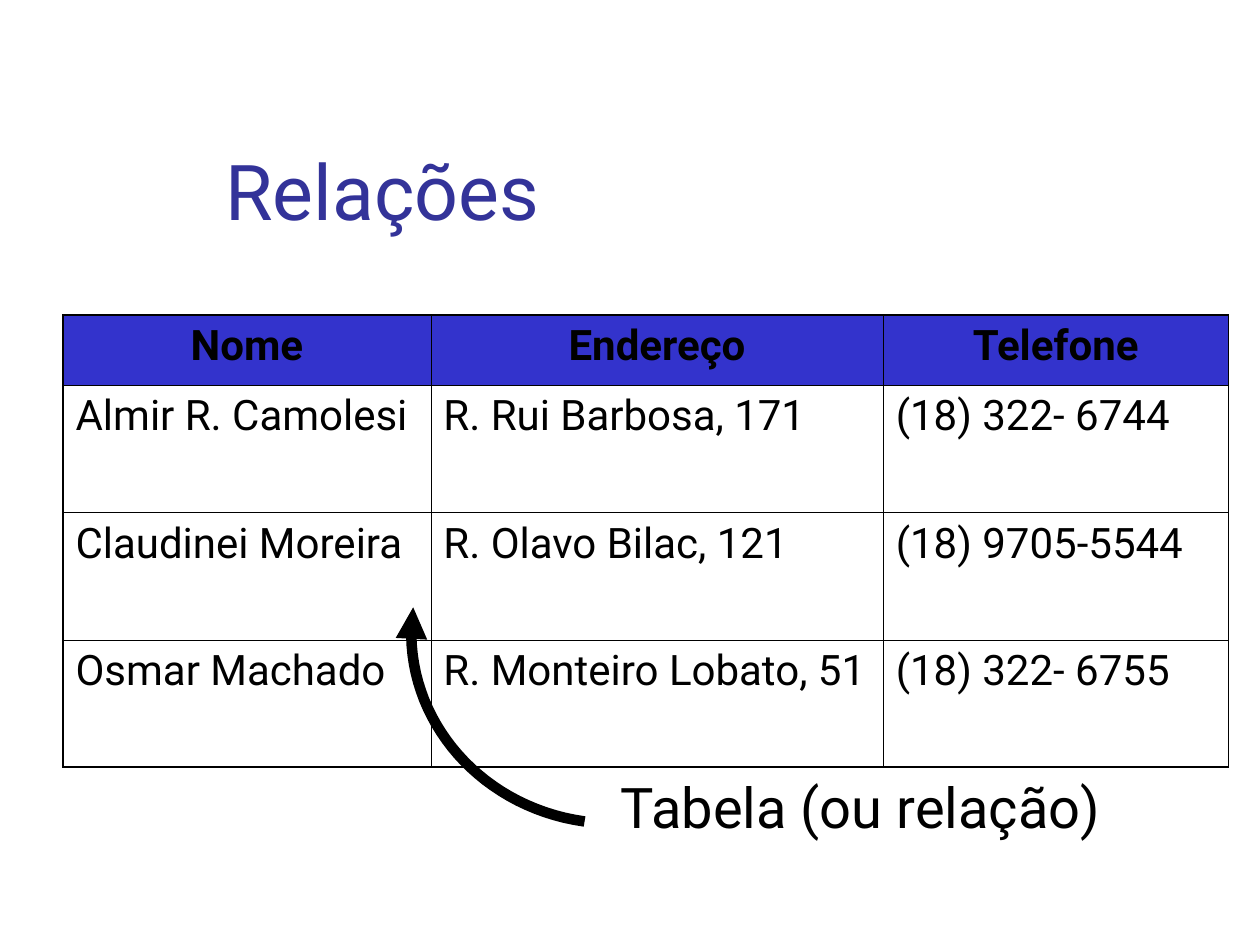
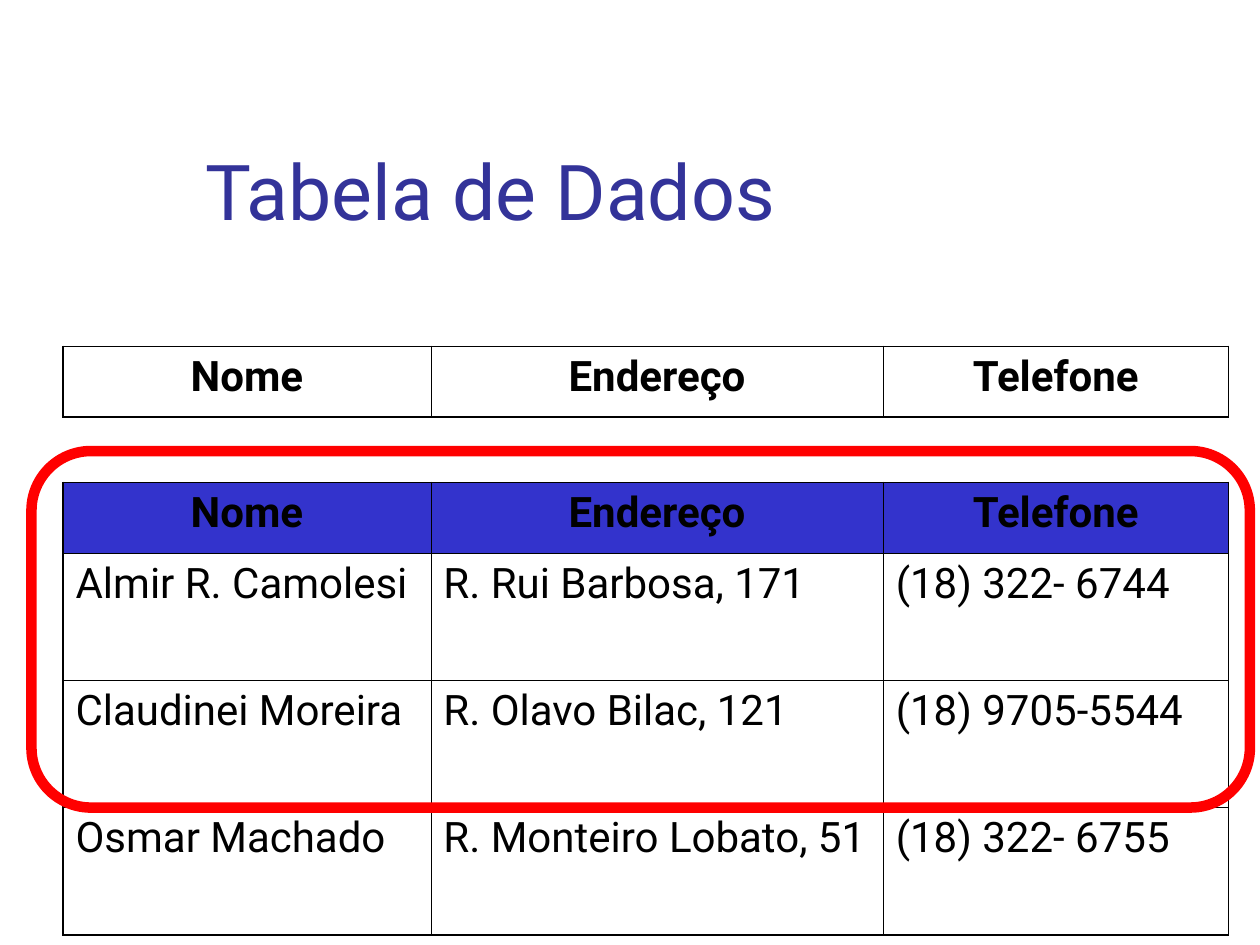
from lxml.etree import SubElement
from pptx import Presentation
from pptx.dml.color import RGBColor
from pptx.enum.shapes import MSO_SHAPE
from pptx.enum.text import MSO_ANCHOR, PP_ALIGN
from pptx.oxml.ns import qn
from pptx.util import Inches, Pt

FONT = "Roboto"
BLACK, WHITE, RED = "000000", "FFFFFF", "FF0000"
TITLE_BLUE, HEADER_BLUE = "333399", "3333CC"
OUTER_LINE, INNER_LINE, HEAVY_LINE = Pt(1.08), Pt(0.45), Pt(6)

TABLE_LEFT = 0.5
COLUMN_WIDTHS = (2.92, 3.59, 2.74)
HEADER_HEIGHT, RECORD_HEIGHT = 0.56, 1.01
HEADINGS = ("Nome", "Endereço", "Telefone")
RECORDS = (
    ("Almir R. Camolesi", "R. Rui Barbosa, 171", "(18) 322- 6744"),
    ("Claudinei Moreira", "R. Olavo Bilac, 121", "(18) 9705-5544"),
    ("Osmar Machado", "R. Monteiro Lobato, 51", "(18) 322- 6755"),
)


def color(value):
    return RGBColor.from_string(value)


def bezier(start, control_1, control_2, end, steps=32):
    """Return evenly sampled points of a cubic curve."""
    points = []
    for step in range(steps + 1):
        t = step / steps
        weights = ((1 - t) ** 3, 3 * t * (1 - t) ** 2, 3 * t ** 2 * (1 - t), t ** 3)
        points.append(tuple(
            sum(weight * value for weight, value in zip(weights, axis))
            for axis in zip(start, control_1, control_2, end)
        ))
    return points


class Slides:
    def __init__(self):
        self.deck = Presentation()
        self.deck.slide_width, self.deck.slide_height = Inches(10), Inches(7.5)
        self.page = None

    def new_page(self):
        self.page = self.deck.slides.add_slide(self.deck.slide_layouts[6])

    def fill_text(self, frame, text, size, ink=BLACK, bold=False, **paragraph_format):
        para = frame.paragraphs[0]
        for name, value in paragraph_format.items():
            setattr(para, name, value)
        span = para.add_run()
        span.text = text
        for name, value in {"name": FONT, "size": Pt(size), "bold": bold}.items():
            setattr(span.font, name, value)
        span.font.color.rgb = color(ink)

    def text(self, text, left, top, width, height, size,
             ink=BLACK, anchor=MSO_ANCHOR.TOP, **paragraph_format):
        box = self.page.shapes.add_textbox(*map(Inches, (left, top, width, height)))
        box.text_frame.word_wrap = True
        box.text_frame.vertical_anchor = anchor
        self.fill_text(box.text_frame, text, size, ink, **paragraph_format)

    def title(self, text, left):
        self.text(text, left, 0.67, 8.52, 1.25, 44, TITLE_BLUE, MSO_ANCHOR.BOTTOM)

    def borders(self, cell, widths):
        properties = cell._tc.get_or_add_tcPr()
        for side, width in widths.items():
            line = SubElement(properties, qn(f"a:ln{side}"), w=str(int(width)))
            fill = SubElement(line, qn("a:solidFill"))
            SubElement(fill, qn("a:srgbClr"), val=BLACK)

    def table(self, top, header_fill, records=()):
        """Add the heading row and any records, with a heavier outer border."""
        rows = (HEADINGS, *records)
        heights = [HEADER_HEIGHT] + [RECORD_HEIGHT] * len(records)
        table = self.page.shapes.add_table(
            len(rows), len(HEADINGS), Inches(TABLE_LEFT), Inches(top),
            Inches(sum(COLUMN_WIDTHS)), Inches(sum(heights))).table
        table.first_row = table.horz_banding = False
        for column, width in zip(table.columns, COLUMN_WIDTHS):
            column.width = Inches(width)
        for row, height in zip(table.rows, heights):
            row.height = Inches(height)
        for r, values in enumerate(rows):
            for c, value in enumerate(values):
                cell = table.cell(r, c)
                at_edge = {"L": c == 0, "R": c == len(HEADINGS) - 1,
                           "T": r == 0, "B": r == len(rows) - 1}
                self.borders(cell, {side: OUTER_LINE if edge else INNER_LINE
                                    for side, edge in at_edge.items()})
                heading = r == 0
                if heading:
                    cell.fill.solid()
                    cell.fill.fore_color.rgb = color(header_fill)
                else:
                    cell.fill.background()
                self.fill_text(cell.text_frame, value, 24, bold=heading, space_before=Pt(6),
                               alignment=PP_ALIGN.CENTER if heading else PP_ALIGN.LEFT)

    def outline(self, shape, ink):
        shape.shadow.inherit = False
        shape.fill.background()
        shape.line.color.rgb = color(ink)
        shape.line.width = HEAVY_LINE

    def curved_arrow(self, *curve):
        """Draw a curve with its arrowhead at the first point."""
        points = [tuple(map(Inches, point)) for point in bezier(*curve)]
        builder = self.page.shapes.build_freeform(*points[0], scale=1.0)
        builder.add_line_segments(points[1:], close=False)
        arrow = builder.convert_to_shape()
        self.outline(arrow, BLACK)
        line = arrow.element.spPr.find(qn("a:ln"))
        SubElement(line, qn("a:headEnd"), type="triangle")

    def rounded_frame(self, left, top, width, height, ink):
        frame = self.page.shapes.add_shape(
            MSO_SHAPE.ROUNDED_RECTANGLE, *map(Inches, (left, top, width, height)))
        frame.adjustments[0] = 0.167
        self.outline(frame, ink)


def relations(slides):
    slides.new_page()
    slides.title("Relações", 1.69)
    slides.text("Tabela (ou relação)", 4.83, 6.08, 4.17, 1, 32, space_before=Pt(8))
    slides.table(2.5, HEADER_BLUE, RECORDS)
    slides.curved_arrow((3.28, 4.82), (3.16, 5.64), (3.77, 6.4), (4.64, 6.52))


def data_table(slides):
    slides.new_page()
    slides.table(3.83, HEADER_BLUE, RECORDS)
    slides.table(2.75, WHITE)
    slides.title("Tabela de Dados", 1.53)
    slides.rounded_frame(0.25, 3.58, 9.67, 2.83, RED)


def main():
    slides = Slides()
    relations(slides)
    data_table(slides)
    slides.deck.save("out.pptx")


if __name__ == "__main__":
    main()
